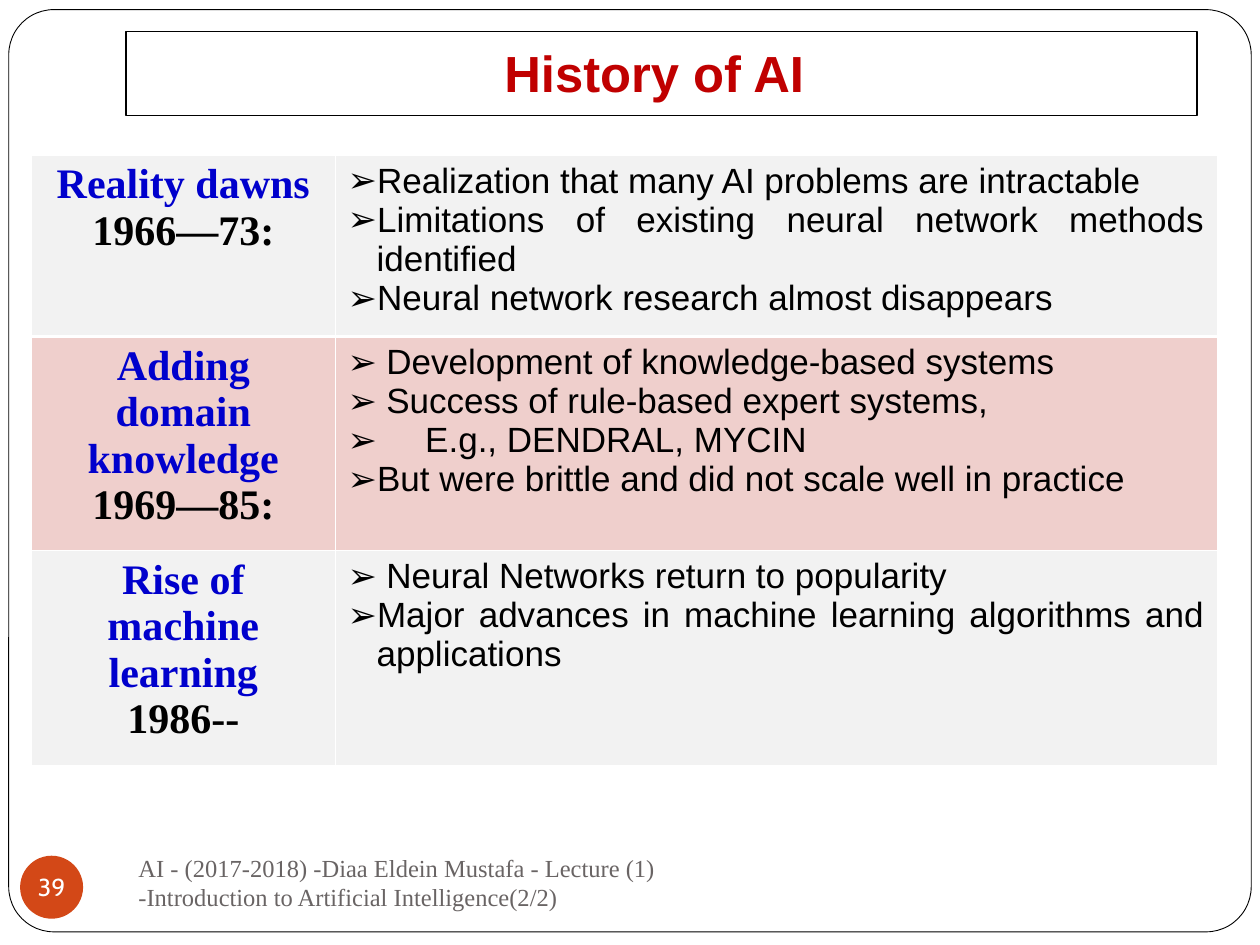
from dataclasses import dataclass

from lxml import etree
from pptx import Presentation
from pptx.dml.color import RGBColor
from pptx.enum.shapes import MSO_SHAPE
from pptx.enum.text import MSO_ANCHOR, PP_ALIGN
from pptx.oxml.ns import qn
from pptx.util import Pt

CENTER, JUSTIFY, LEFT = PP_ALIGN.CENTER, PP_ALIGN.JUSTIFY, PP_ALIGN.LEFT
MIDDLE, BOTTOM = MSO_ANCHOR.MIDDLE, MSO_ANCHOR.BOTTOM
RECTANGLE, ROUNDED, OVAL = MSO_SHAPE.RECTANGLE, MSO_SHAPE.ROUNDED_RECTANGLE, MSO_SHAPE.OVAL

TITLE = "History of AI "
FOOTER = "AI - (2017-2018) -Diaa Eldein Mustafa - Lecture (1) -Introduction to Artificial Intelligence(2/2)"
PAGE = "39"
ERAS = [
    ("Reality dawns", "1966—73:", [
        ("Realization that many AI problems are intractable", 0),
        ("Limitations of existing neural network methods identified", 0),
        ("Neural network research almost disappears", 0),
    ]),
    ("Adding domain knowledge", "1969—85:", [
        ("Development of knowledge-based systems", 1),
        ("Success of rule-based expert systems,", 1),
        ("E.g., DENDRAL, MYCIN", 5),
        ("But were brittle and did not scale well in practice", 0),
    ]),
    ("Rise of machine learning", "1986--", [
        ("Neural Networks return to popularity", 1),
        ("Major advances in machine learning algorithms and applications", 0),
    ]),
]
COLUMN_WIDTHS = [173.5, 504]
ROW_HEIGHTS = [103.7, 122.4, 122.4]
BULLET_INDENT = 16.5
INDENT_STEP = 5.56
THIN, THICK = 0.45, 1.47


@dataclass(frozen=True)
class Theme:
    white: str = "FFFFFF"
    black: str = "000000"
    title: str = "C00000"
    era: str = "0000CC"
    footer: str = "696464"
    badge: str = "D34817"
    bands: tuple = ("F2F2F2", "EFCFCC")
    sans: str = "Arial"
    serif: str = "Times New Roman"
    badge_font: str = "Cabin"
    title_size: float = 29
    era_size: float = 24
    point_size: float = 20
    small_size: float = 14


THEME = Theme()


def rgb(color):
    return RGBColor.from_string(color)


def write(paragraph, text, font, size, color, bold=False, align=LEFT):
    paragraph.alignment = align
    run = paragraph.add_run()
    run.text = text
    run.font.name = font
    run.font.size = Pt(size)
    run.font.color.rgb = rgb(color)
    run.font.bold = bold


def set_frame(frame, insets, anchor, wrap=True):
    frame.margin_left, frame.margin_top, frame.margin_right, frame.margin_bottom = map(Pt, insets)
    frame.vertical_anchor = anchor
    frame.word_wrap = wrap


def add_panel(slide, kind, box, fill=None, line_width=None):
    panel = slide.shapes.add_shape(kind, *map(Pt, box))
    panel.shadow.inherit = False
    if fill:
        panel.fill.solid()
        panel.fill.fore_color.rgb = rgb(fill)
    else:
        panel.fill.background()
    if line_width:
        panel.line.color.rgb = rgb(THEME.black)
        panel.line.width = Pt(line_width)
    else:
        panel.line.fill.background()
    return panel


def add_bullet(paragraph, steps):
    offset = BULLET_INDENT + steps * INDENT_STEP
    properties = paragraph._p.get_or_add_pPr()
    properties.set("marL", str(Pt(offset)))
    properties.set("indent", str(-Pt(offset)))
    color = etree.SubElement(properties, qn("a:buClr"))
    etree.SubElement(color, qn("a:srgbClr"), val=THEME.black)
    etree.SubElement(properties, qn("a:buFont"), typeface=THEME.sans)
    etree.SubElement(properties, qn("a:buChar"), char="➢")


def style_cell(cell, row):
    properties = cell._tc.get_or_add_tcPr()
    widths = {"L": THIN, "R": THIN,
              "T": THICK if row == 1 else THIN,
              "B": THICK if row == 0 else THIN}
    for side, width in widths.items():
        edge = etree.SubElement(properties, qn(f"a:ln{side}"), w=str(Pt(width)))
        fill = etree.SubElement(edge, qn("a:solidFill"))
        etree.SubElement(fill, qn("a:srgbClr"), val=THEME.white)
    cell.fill.solid()
    cell.fill.fore_color.rgb = rgb(THEME.bands[row % len(THEME.bands)])


def paragraphs(frame, count):
    return [frame.paragraphs[0]] + [frame.add_paragraph() for _ in range(count - 1)]


def add_eras(slide):
    table = slide.shapes.add_table(
        len(ERAS), 2, Pt(18), Pt(88.6), Pt(sum(COLUMN_WIDTHS)), Pt(sum(ROW_HEIGHTS))
    ).table
    table.first_row = False
    table.horz_banding = False
    for column, width in zip(table.columns, COLUMN_WIDTHS):
        column.width = Pt(width)
    for index, (era, years, points) in enumerate(ERAS):
        table.rows[index].height = Pt(ROW_HEIGHTS[index])
        era_cell, points_cell = table.rows[index].cells
        style_cell(era_cell, index)
        style_cell(points_cell, index)
        labels = [(era, THEME.era), (years, THEME.black)]
        for paragraph, (label, color) in zip(paragraphs(era_cell.text_frame, 2), labels):
            write(paragraph, label, THEME.serif, THEME.era_size, color, True, CENTER)
        for paragraph, (point, steps) in zip(paragraphs(points_cell.text_frame, len(points)), points):
            add_bullet(paragraph, steps)
            write(paragraph, point, THEME.sans, THEME.point_size, THEME.black, align=JUSTIFY)


def main():
    deck = Presentation()
    deck.slide_width, deck.slide_height = Pt(720), Pt(540)
    slide = deck.slides.add_slide(deck.slide_layouts[6])

    border = add_panel(slide, ROUNDED, (5, 5.5, 710, 527), THEME.white, 0.5)
    border.adjustments[0] = 0.049

    heading = add_panel(slide, RECTANGLE, (72, 18, 612, 48), line_width=0.75)
    set_frame(heading.text_frame, (7.2, 3.6, 7.2, 7.2), BOTTOM)
    write(heading.text_frame.paragraphs[0], TITLE, THEME.sans, THEME.title_size,
          THEME.title, True, CENTER)

    footer = slide.shapes.add_textbox(Pt(72), Pt(486), Pt(312), Pt(36))
    set_frame(footer.text_frame, (7.2, 3.6, 7.2, 3.6), MIDDLE)
    write(footer.text_frame.paragraphs[0], FOOTER, THEME.serif, THEME.small_size, THEME.footer)

    badge = add_panel(slide, OVAL, (11.5, 489, 36, 36), THEME.badge)
    set_frame(badge.text_frame, (0, 0, 0, 0), MIDDLE, False)
    write(badge.text_frame.paragraphs[0], PAGE, THEME.badge_font, THEME.small_size,
          THEME.white, align=CENTER)

    add_eras(slide)
    deck.save("out.pptx")


if __name__ == "__main__":
    main()
